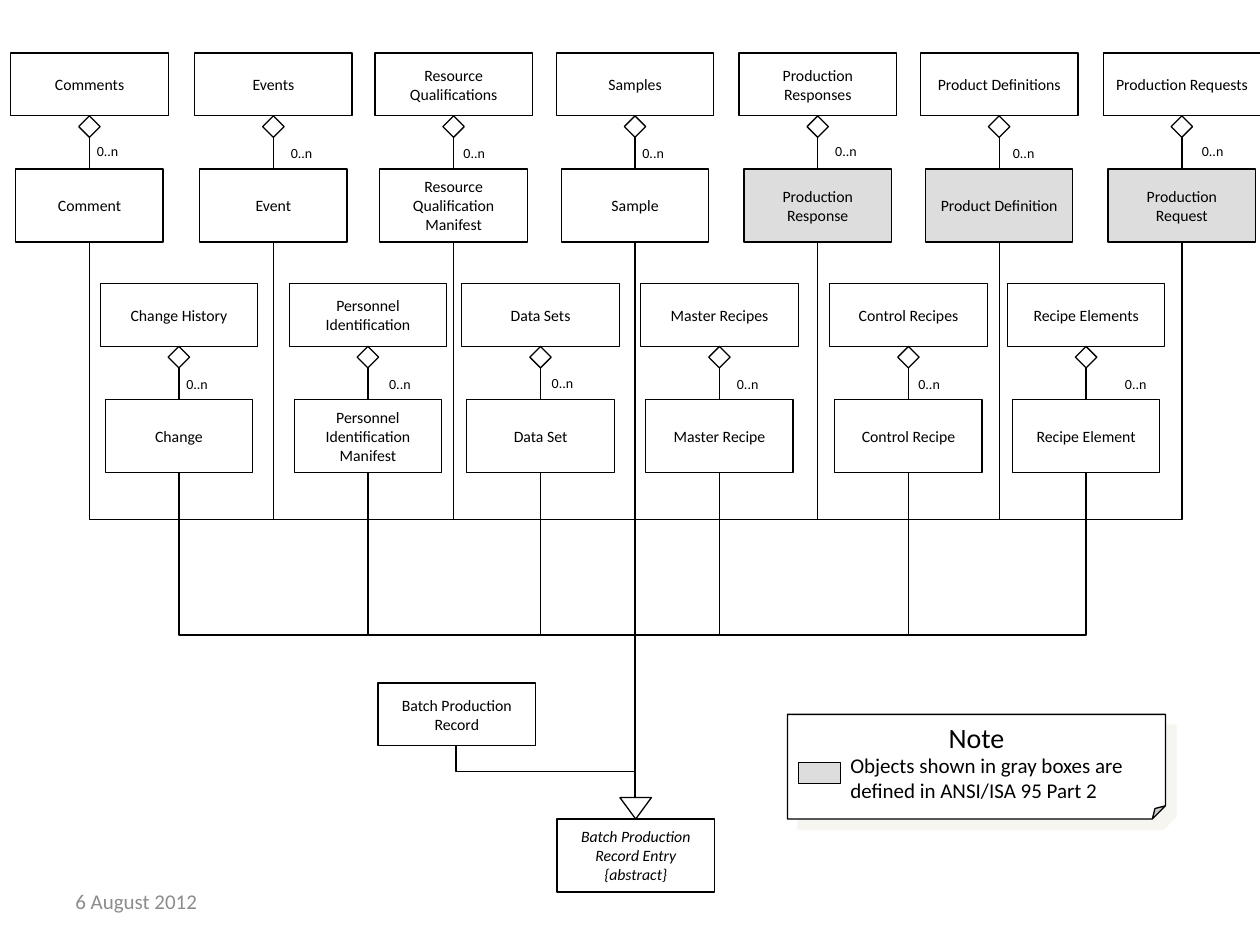
from dataclasses import dataclass

from lxml import etree
from pptx import Presentation
from pptx import util as u
from pptx.dml.color import RGBColor
from pptx.enum import shapes, text
from pptx.oxml import ns


@dataclass(frozen=True)
class Theme:
    font: str = "Calibri"
    ink: str = "000000"
    paper: str = "FFFFFF"
    gray: str = "DDDDDD"
    muted: str = "8C8C8C"
    shadow: str = "EEECE1"
    tiny: float = 8
    small: float = 9
    body: float = 12
    heading: float = 16
    line: float = 0.75


@dataclass(frozen=True)
class Aggregate:
    center: float
    plural: str
    singular: str
    label_left: float
    label_top: float
    shaded: bool = False


@dataclass(frozen=True)
class Box:
    left: float
    top: float
    width: float
    height: float

    def lengths(self) -> list:
        return [u.Inches(value) for value in (self.left, self.top, self.width, self.height)]


THEME = Theme()
SHAPE = shapes.MSO_SHAPE
CONNECTOR = shapes.MSO_CONNECTOR
HEADER_WIDTH, HEADER_HEIGHT = 1.25, 0.5
MEMBER_WIDTH, MEMBER_HEIGHT = 1.17, 0.58
DIAMOND = 0.17
TRUNK, JOIN = 5.04, 6.33

UPPER_TOP, LOWER_TOP = 0.42, 2.25
UPPER = [
    Aggregate(0.71, "Comments", "Comment", 0.67, 1.08),
    Aggregate(2.17, "Events", "Event", 2.21, 1.1),
    Aggregate(3.6, "Resource Qualifications", "Resource Qualification Manifest", 3.58, 1.1),
    Aggregate(TRUNK, "Samples", "Sample", 5, 1.1),
    Aggregate(6.49, "Production Responses", "Production Response", 6.53, 1.08, True),
    Aggregate(7.93, "Product Definitions", "Product Definition", 7.94, 1.1, True),
    Aggregate(9.38, "Production Requests", "Production Request", 9.44, 1.08, True),
]
LOWER = [
    Aggregate(1.42, "Change History", "Change", 1.38, 2.93),
    Aggregate(2.92, "Personnel Identification", "Personnel Identification Manifest", 2.99, 2.93),
    Aggregate(4.29, "Data Sets", "Data Set", 4.28, 2.92),
    Aggregate(5.71, "Master Recipes", "Master Recipe", 5.75, 2.93),
    Aggregate(7.21, "Control Recipes", "Control Recipe", 7.19, 2.93),
    Aggregate(8.62, "Recipe Elements", "Recipe Element", 8.83, 2.93),
]


def write(frame, lines: list[str], size: float, color: str = THEME.ink,
          align=text.PP_ALIGN.LEFT, italic: bool = False) -> None:
    for index, line in enumerate(lines):
        paragraph = frame.add_paragraph() if index else frame.paragraphs[0]
        paragraph.alignment = align
        run = paragraph.add_run()
        run.text = line
        run.font.name = THEME.font
        run.font.size = u.Pt(size)
        run.font.italic = italic
        run.font.color.rgb = RGBColor.from_string(color)


def add_outline(canvas, kind, box: Box, fill: str = THEME.paper):
    shape = canvas.add_shape(kind, *box.lengths())
    shape.shadow.inherit = False
    shape.fill.solid()
    shape.fill.fore_color.rgb = RGBColor.from_string(fill)
    shape.line.color.rgb = RGBColor.from_string(THEME.ink)
    shape.line.width = u.Pt(THEME.line)
    return shape


def add_class(canvas, box: Box, lines: list[str], fill: str = THEME.paper,
              italic: bool = False, inset: float = 0.1) -> None:
    shape = add_outline(canvas, SHAPE.RECTANGLE, box, fill)
    frame = shape.text_frame
    frame.word_wrap = True
    frame.vertical_anchor = text.MSO_ANCHOR.MIDDLE
    frame.margin_left = frame.margin_right = u.Inches(inset)
    write(frame, lines, THEME.small, align=text.PP_ALIGN.CENTER, italic=italic)


def add_label(canvas, box: Box, lines: list[str], size: float,
              color: str = THEME.ink, anchor=text.MSO_ANCHOR.TOP) -> None:
    frame = canvas.add_textbox(*box.lengths()).text_frame
    frame.word_wrap = False
    frame.vertical_anchor = anchor
    write(frame, lines, size, color)


def add_link(canvas, kind, *ends: float):
    connector = canvas.add_connector(kind, *[u.Inches(value) for value in ends])
    connector.line.color.rgb = RGBColor.from_string(THEME.ink)
    connector.line.width = u.Pt(THEME.line)
    etree.SubElement(connector._element.spPr, ns.qn("a:effectLst"))
    return connector


def add_branch(canvas, center: float, bottom: float) -> None:
    if center == TRUNK:
        add_link(canvas, CONNECTOR.STRAIGHT, TRUNK, JOIN, TRUNK, bottom)
        return
    middle_x, middle_y = (TRUNK + center) / 2, (JOIN + bottom) / 2
    half_rise, half_run = (JOIN - bottom) / 2, abs(center - TRUNK) / 2
    leftward = center < TRUNK
    start = half_rise if leftward else -half_rise
    connector = add_link(canvas, CONNECTOR.ELBOW, middle_x + start, middle_y - half_run,
                         middle_x - start, middle_y + half_run)
    transform = connector._element.spPr.find(ns.qn("a:xfrm"))
    transform.set("rot", str((90 if leftward else 270) * 60000))


def add_aggregate(canvas, item: Aggregate, top: float) -> None:
    diamond_top = top + HEADER_HEIGHT
    member_top = top + 0.92
    add_link(canvas, CONNECTOR.STRAIGHT, item.center, member_top,
             item.center, diamond_top + DIAMOND)
    add_class(canvas, Box(item.center - HEADER_WIDTH / 2, top, HEADER_WIDTH, HEADER_HEIGHT),
              [item.plural], inset=0.09)
    add_branch(canvas, item.center, member_top + MEMBER_HEIGHT)
    add_outline(canvas, SHAPE.DIAMOND,
                Box(item.center - DIAMOND / 2, diamond_top, DIAMOND, DIAMOND))
    add_class(canvas, Box(item.center - MEMBER_WIDTH / 2, member_top, MEMBER_WIDTH, MEMBER_HEIGHT),
              [item.singular], THEME.gray if item.shaded else THEME.paper)
    add_label(canvas, Box(item.label_left, item.label_top, 0.39, 0.23), ["0..n"], THEME.tiny)


def add_record(canvas) -> None:
    add_class(canvas, Box(3, 5.42, HEADER_WIDTH, HEADER_HEIGHT), ["Batch Production Record"])
    add_branch(canvas, 3.62, 5.92)
    entry = canvas.add_group_shape().shapes
    add_class(entry, Box(4.42, 6.5, HEADER_WIDTH, MEMBER_HEIGHT),
              ["Batch Production Record Entry", "{abstract}"], italic=True)
    triangle = add_outline(entry, SHAPE.ISOSCELES_TRIANGLE, Box(4.92, JOIN, 0.25, 0.17))
    triangle.rotation = 180


def add_note(canvas) -> None:
    note = canvas.add_group_shape().shapes
    card = add_outline(note, SHAPE.FOLDED_CORNER, Box(6.25, 5.67, 3, 0.83))
    properties = card._element.spPr
    adjustments = properties.find(ns.qn("a:prstGeom")).find(ns.qn("a:avLst"))
    etree.SubElement(adjustments, ns.qn("a:gd"), name="adj", fmla="val 12500")
    effects = properties.find(ns.qn("a:effectLst"))
    shadow = etree.SubElement(effects, ns.qn("a:outerShdw"), dist=str(u.Pt(8.5)),
                              dir="2700000", algn="ctr", rotWithShape="0")
    color = etree.SubElement(shadow, ns.qn("a:srgbClr"), val=THEME.shadow)
    etree.SubElement(color, ns.qn("a:alpha"), val="50000")
    card.text_frame.word_wrap = False
    card.text_frame.vertical_anchor = text.MSO_ANCHOR.TOP
    write(card.text_frame, ["Note"], THEME.heading, align=text.PP_ALIGN.CENTER)
    add_outline(note, SHAPE.RECTANGLE, Box(6.34, 6.05, 0.33, 0.17), THEME.gray)
    add_label(note, Box(6.65, 5.92, 2.61, 0.5),
              ["Objects shown in gray boxes are", "defined in ANSI/ISA 95 Part 2"], THEME.body)


def main() -> None:
    presentation = Presentation()
    presentation.slide_width = u.Inches(10)
    presentation.slide_height = u.Inches(7.5)
    slide = presentation.slides.add_slide(presentation.slide_layouts[6])
    canvas = slide.shapes
    add_label(canvas, Box(0.5, 6.95, 2.33, 0.4), ["6 August 2012"], THEME.body,
              THEME.muted, text.MSO_ANCHOR.MIDDLE)
    for top, row in ((UPPER_TOP, UPPER), (LOWER_TOP, LOWER)):
        for item in row:
            add_aggregate(canvas, item, top)
    add_record(canvas)
    add_note(canvas)
    presentation.save("out.pptx")


if __name__ == "__main__":
    main()
